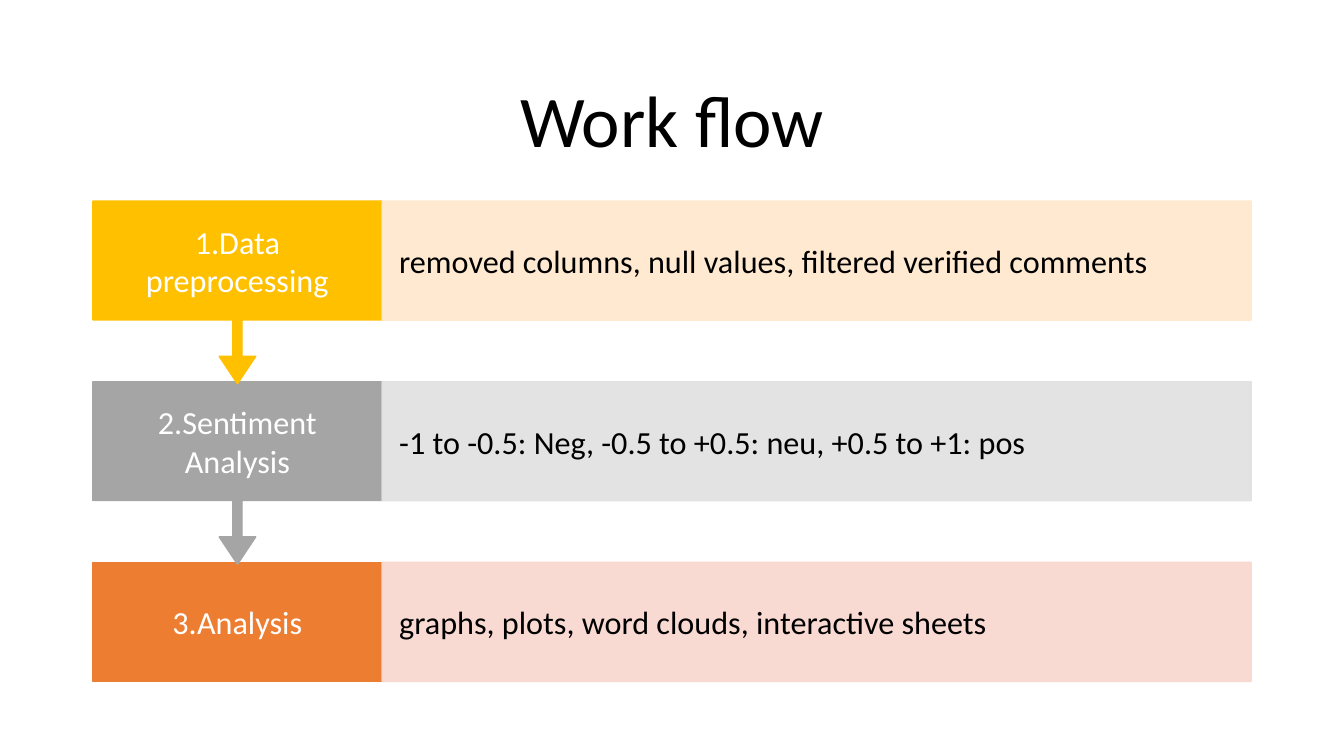
"""Build the "Work flow" slide: three stages in a vertical process."""
from lxml import etree
from pptx import Presentation
from pptx.dml.color import RGBColor
from pptx.enum.shapes import MSO_SHAPE
from pptx.enum.text import MSO_ANCHOR, PP_ALIGN
from pptx.oxml.ns import qn
from pptx.util import Cm, Pt

RECTANGLE = MSO_SHAPE.RECTANGLE
ARROW_CALLOUT = MSO_SHAPE.DOWN_ARROW_CALLOUT
MIDDLE = MSO_ANCHOR.MIDDLE
LEFT, CENTER = PP_ALIGN.LEFT, PP_ALIGN.CENTER

TITLE = "Work flow"
STAGES = [
    ("1.Data preprocessing", "removed columns, null values, filtered verified comments", "gold"),
    ("2.Sentiment Analysis", "-1 to -0.5: Neg, -0.5 to +0.5: neu, +0.5 to +1: pos", "gray"),
    ("3.Analysis", "graphs, plots, word clouds, interactive sheets", "orange"),
]
COLORS = {
    "gold": "FFC000", "gold_tint": "FFE8CC",
    "gray": "A5A5A5", "gray_tint": "E1E1E1",
    "orange": "ED7D31", "orange_tint": "F8D7CE",
    "black": "000000", "white": "FFFFFF",
}
FONT = "Calibri"
MARGIN, FIRST_TOP, PITCH = 2.34, 5.07, 4.55
STAGE_WIDTH, DETAIL_WIDTH = 7.29, 21.9
ROW_HEIGHT, CALLOUT_HEIGHT = 3, 4.6
CALLOUT_PROPORTIONS = (0.05, 0.1, 0.15, 0.65)
TINT_OPACITY = 90


def write(holder, text, size=23, color="black", align=LEFT, inset=(0.25, 0.13), spacing=1.0):
    frame = holder.text_frame
    frame.word_wrap = True
    frame.vertical_anchor = MIDDLE
    frame.margin_left = frame.margin_right = Cm(inset[0])
    frame.margin_top = frame.margin_bottom = Cm(inset[1])
    paragraph = frame.paragraphs[0]
    paragraph.alignment = align
    paragraph.line_spacing = spacing
    run = paragraph.add_run()
    run.text = text
    run.font.name = FONT
    run.font.size = Pt(size)
    run.font.color.rgb = RGBColor.from_string(COLORS[color])


def add_block(slide, kind, left, top, width, height, color, opacity=100):
    block = slide.shapes.add_shape(kind, Cm(left), Cm(top), Cm(width), Cm(height))
    block.shadow.inherit = False
    block.fill.solid()
    block.line.width = Pt(1)
    for paint in (block.fill.fore_color, block.line.color):
        paint.rgb = RGBColor.from_string(COLORS[color])
    if opacity < 100:
        for tone in block.element.spPr.iter(qn("a:srgbClr")):
            etree.SubElement(tone, qn("a:alpha"), val=str(opacity * 1000))
    return block


def add_stage(slide, index, name, detail, color):
    top = FIRST_TOP + index * PITCH
    if index == len(STAGES) - 1:
        stage = add_block(slide, RECTANGLE, MARGIN, top, STAGE_WIDTH, ROW_HEIGHT, color)
    else:
        stage = add_block(slide, ARROW_CALLOUT, MARGIN, top, STAGE_WIDTH, CALLOUT_HEIGHT, color)
        for position, proportion in enumerate(CALLOUT_PROPORTIONS):
            stage.adjustments[position] = proportion
    write(stage, name, color="white", align=CENTER, inset=(0.51, 0.46))
    band = add_block(slide, RECTANGLE, MARGIN + STAGE_WIDTH, top, DETAIL_WIDTH, ROW_HEIGHT,
                     color + "_tint", TINT_OPACITY)
    write(band, detail, inset=(0.43, 0.81))


def main():
    deck = Presentation()
    deck.slide_width, deck.slide_height = Cm(33.87), Cm(19.05)
    slide = deck.slides.add_slide(deck.slide_layouts[6])
    heading = slide.shapes.add_textbox(
        Cm(MARGIN), Cm(1.55), Cm(STAGE_WIDTH + DETAIL_WIDTH), Cm(3.15))
    write(heading, TITLE, size=52, align=CENTER, spacing=0.9)
    for index, stage in reversed(list(enumerate(STAGES))):
        add_stage(slide, index, *stage)
    deck.save("out.pptx")


if __name__ == "__main__":
    main()
